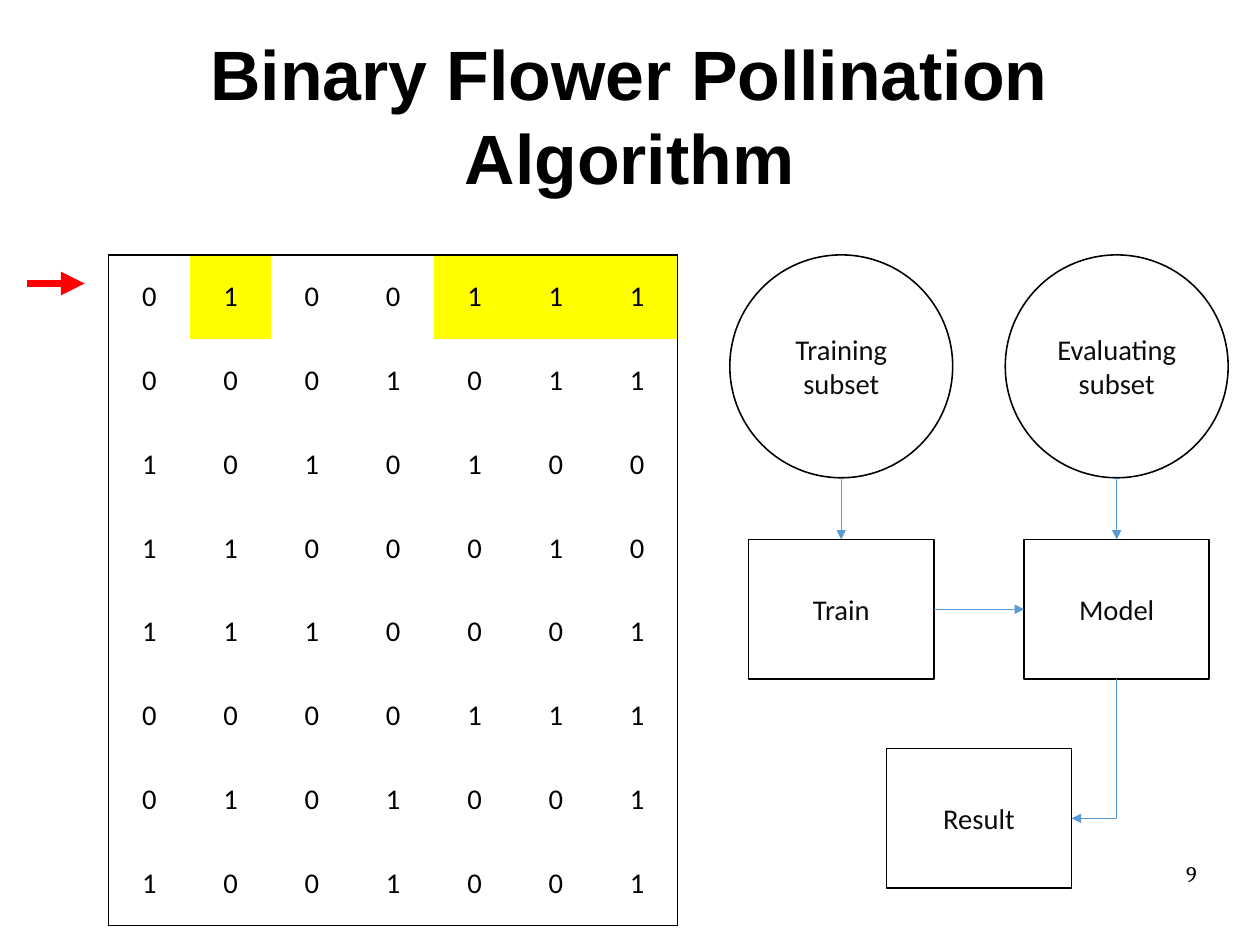
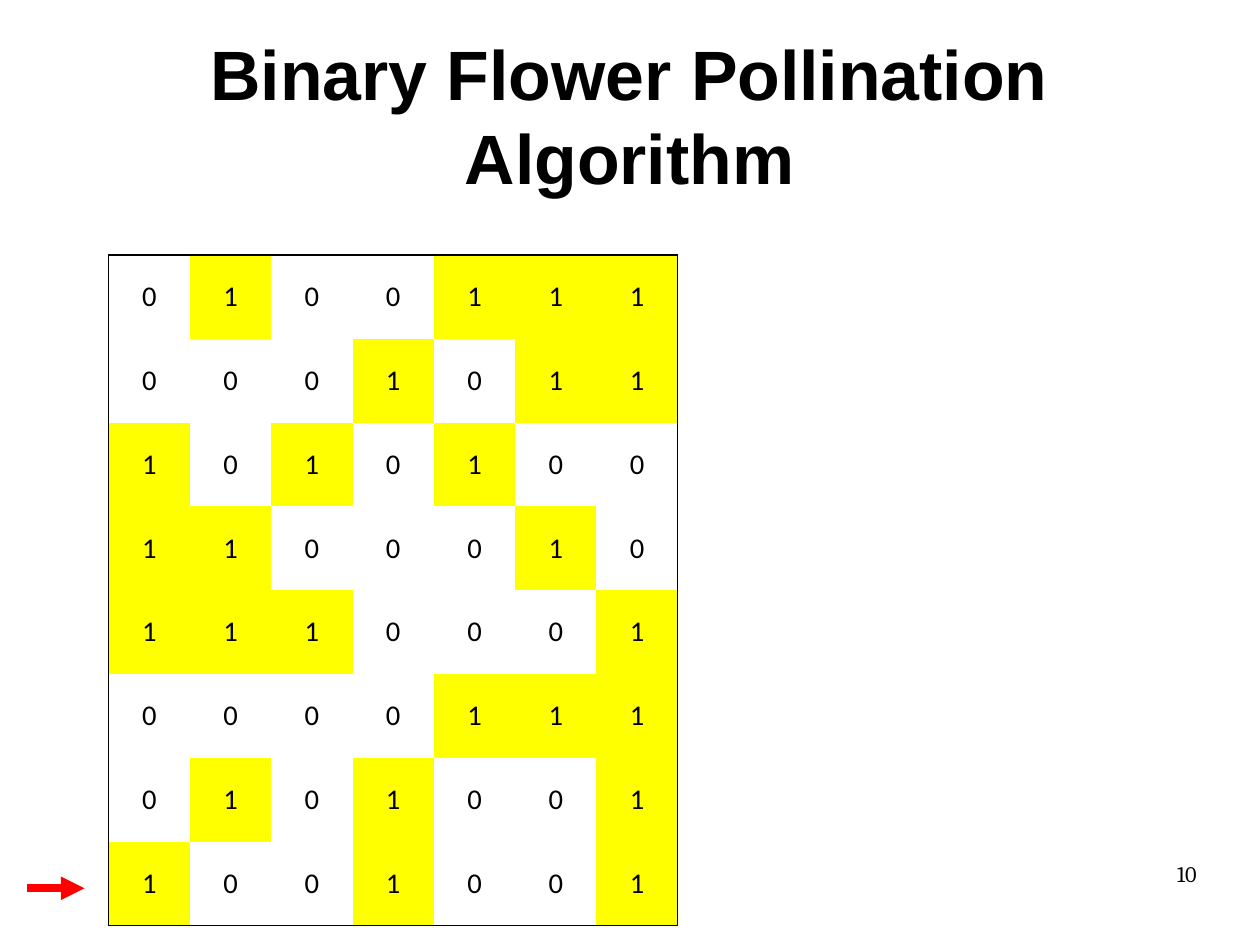
import pptx
import pptx.dml.color
import pptx.enum.shapes
import pptx.enum.text
import pptx.oxml
import pptx.oxml.ns
import pptx.util

RGBColor = pptx.dml.color.RGBColor
SHAPES = pptx.enum.shapes.MSO_SHAPE
CONNECTORS = pptx.enum.shapes.MSO_CONNECTOR
MIDDLE = pptx.enum.text.MSO_ANCHOR.MIDDLE
ALIGN = pptx.enum.text.PP_ALIGN
Inches = pptx.util.Inches

BLACK = RGBColor(0x00, 0x00, 0x00)
INK = RGBColor(0x0D, 0x0D, 0x0D)
YELLOW = RGBColor(0xFF, 0xFF, 0x00)
RED = RGBColor(0xFF, 0x00, 0x00)
BLUE = RGBColor(0x5B, 0x9B, 0xD5)

WIDTH, HEIGHT = pptx.util.Cm(28), pptx.util.Cm(21)
MARGIN, CONTENT_WIDTH = 0.55, 9.92
TITLE = "Binary Flower Pollination Algorithm"
SOLUTIONS = ["0100111", "0001011", "1010100", "1100010",
             "1110001", "0000111", "0101001", "1001001"]
TABLE_LEFT, TABLE_TOP = 0.95, 2.23
TABLE_WIDTH, TABLE_HEIGHT = 4.98, 5.87
NO_STYLE = "{2D5ABB26-0587-4C30-8999-92F81FD0307C}"

FLOW_LEFT, FLOW_PITCH = 7.36, 2.41
CIRCLE = 1.95
BOX_WIDTH, BOX_HEIGHT = 1.62, 1.22
BOX_TOP, BOX_PITCH = 4.72, 1.83
TOP, LEFT, BOTTOM, RIGHT = range(4)


def element(tag, **attributes):
    """Make an empty drawing element with the given attributes."""
    made = pptx.oxml.parse_xml(f"<{tag} {pptx.oxml.ns.nsdecls('a')}/>")
    for name, value in attributes.items():
        made.set(name, str(value))
    return made


def style(para, size, font, color, align, bold=False):
    """Set the alignment and font of a paragraph."""
    para.alignment = align
    para.font.size = pptx.util.Pt(size)
    para.font.name = font
    para.font.color.rgb = color
    para.font.bold = bold


def clear_insets(frame):
    """Wrap the text and let it use the whole box."""
    frame.word_wrap = True
    frame.margin_left = frame.margin_right = 0
    frame.margin_top = frame.margin_bottom = 0


def add_page(deck, number):
    """Add a slide with the shared title and its number."""
    page = deck.slides.add_slide(deck.slide_layouts[5])
    title = page.shapes.title
    title.left, title.top = Inches(MARGIN), Inches(0.31)
    title.width, title.height = Inches(CONTENT_WIDTH), Inches(1.38)
    frame = title.text_frame
    frame.text = TITLE
    clear_insets(frame)
    frame.auto_size = pptx.enum.text.MSO_AUTO_SIZE.NONE
    frame.vertical_anchor = MIDDLE
    style(frame.paragraphs[0], 44, "Arial", BLACK, ALIGN.CENTER, bold=True)

    box = page.shapes.add_textbox(Inches(7.9), Inches(7.53), Inches(2.57), Inches(0.57))
    box.text_frame.text = str(number)
    clear_insets(box.text_frame)
    style(box.text_frame.paragraphs[0], 14, "Cambria", BLACK, ALIGN.RIGHT)
    return page


def add_border(cell, side):
    """Draw a thin black line on one side of a cell."""
    line = element(f"a:ln{side}", w=pptx.util.Pt(1))
    fill = element("a:solidFill")
    fill.append(element("a:srgbClr", val=BLACK))
    line.append(fill)
    cell._tc.get_or_add_tcPr().append(line)


def add_solutions(page, marked_rows):
    """Add the bit table, with the ones highlighted in the first marked rows."""
    rows, columns = len(SOLUTIONS), len(SOLUTIONS[0])
    table = page.shapes.add_table(
        rows, columns, Inches(TABLE_LEFT), Inches(TABLE_TOP),
        Inches(TABLE_WIDTH), Inches(TABLE_HEIGHT)).table
    table.first_row = table.horz_banding = False
    table._tbl.tblPr.find(pptx.oxml.ns.qn("a:tableStyleId")).text = NO_STYLE
    for row, bits in enumerate(SOLUTIONS):
        for column, bit in enumerate(bits):
            cell = table.cell(row, column)
            cell.text = bit
            cell.vertical_anchor = MIDDLE
            style(cell.text_frame.paragraphs[0], 18, "Calibri", BLACK, ALIGN.CENTER)
            edges = {"L": column == 0, "R": column == columns - 1,
                     "T": row == 0, "B": row == rows - 1}
            for side, outer in edges.items():
                if outer:
                    add_border(cell, side)
            if bit == "1" and row < marked_rows:
                cell.fill.solid()
                cell.fill.fore_color.rgb = YELLOW
            else:
                cell.fill.background()


def add_arrow(page, start, end, color, weight, kind=CONNECTORS.STRAIGHT):
    """Add a connector with a triangle at its end."""
    arrow = page.shapes.add_connector(kind, *start, *end)
    arrow.line.color.rgb = color
    arrow.line.width = pptx.util.Pt(weight)
    properties = arrow._element.spPr
    properties.find(pptx.oxml.ns.qn("a:ln")).append(element("a:tailEnd", type="triangle"))
    properties.append(element("a:effectLst"))
    return arrow


def add_pointer(page, height_share):
    """Point at a table row from the left margin."""
    y = int(HEIGHT * height_share)
    add_arrow(page, (Inches(0.24), y), (Inches(0.74), y), RED, 5)


def add_node(page, kind, label, column, top, width, height):
    """Add an outlined shape centred on a column of the flow."""
    left = FLOW_LEFT + column * FLOW_PITCH - width / 2
    node = page.shapes.add_shape(
        kind, Inches(left), Inches(top), Inches(width), Inches(height))
    node.shadow.inherit = False
    node.fill.background()
    node.line.color.rgb = BLACK
    node.line.width = pptx.util.Pt(1)
    node.text_frame.text = label
    node.text_frame.word_wrap = True
    node.text_frame.vertical_anchor = MIDDLE
    style(node.text_frame.paragraphs[0], 18, "Calibri", INK, ALIGN.CENTER)
    return node


def add_circle(page, label, column):
    """Add a data subset at the top of a flow column."""
    return add_node(page, SHAPES.OVAL, label, column, TABLE_TOP, CIRCLE, CIRCLE)


def add_box(page, label, column, row):
    """Add a step box on the flow grid."""
    return add_node(page, SHAPES.RECTANGLE, label, column,
                    BOX_TOP + row * BOX_PITCH, BOX_WIDTH, BOX_HEIGHT)


def side_point(node, side):
    """Return the middle of one side of a shape."""
    across = {LEFT: 0, RIGHT: node.width}.get(side, node.width // 2)
    down = {TOP: 0, BOTTOM: node.height}.get(side, node.height // 2)
    return node.left + across, node.top + down


def link(page, source, source_side, target, target_side, kind=CONNECTORS.STRAIGHT):
    """Join two shapes with a thin blue arrow."""
    arrow = add_arrow(page, side_point(source, source_side),
                      side_point(target, target_side), BLUE, 0.5, kind)
    if source.auto_shape_type == SHAPES.RECTANGLE:
        arrow.begin_connect(source, source_side)
    arrow.end_connect(target, target_side)
    return arrow


def link_down_left(page, source, target):
    """Join two boxes with an arrow that runs down and then left."""
    arrow = link(page, source, BOTTOM, target, RIGHT, CONNECTORS.ELBOW)
    start_x, start_y = side_point(source, BOTTOM)
    end_x, end_y = side_point(target, RIGHT)
    across, down = start_x - end_x, end_y - start_y
    properties = arrow._element.spPr
    properties.find(pptx.oxml.ns.qn("a:prstGeom")).set("prst", "bentConnector2")
    properties.xfrm.attrib.clear()
    properties.xfrm.set("rot", str(90 * 60000))
    arrow.left = (start_x + end_x - down) // 2
    arrow.top = (start_y + end_y - across) // 2
    arrow.width, arrow.height = down, across


def add_flow(page):
    """Add the train and evaluate diagram."""
    training = add_circle(page, "Training subset", 0)
    evaluating = add_circle(page, "Evaluating subset", 1)
    train = add_box(page, "Train", 0, 0)
    model = add_box(page, "Model", 1, 0)
    result = add_box(page, "Result", 0.5, 1)
    link(page, training, BOTTOM, train, TOP)
    link(page, evaluating, BOTTOM, model, TOP)
    link(page, train, RIGHT, model, LEFT)
    link_down_left(page, model, result)


def main():
    """Build and save the deck."""
    deck = pptx.Presentation()
    deck.slide_width, deck.slide_height = WIDTH, HEIGHT

    first = add_page(deck, 9)
    add_solutions(first, 1)
    add_pointer(first, 0.3)
    add_flow(first)

    last = add_page(deck, 10)
    add_solutions(last, len(SOLUTIONS))
    add_pointer(last, 0.94)

    deck.save("out.pptx")


if __name__ == "__main__":
    main()
